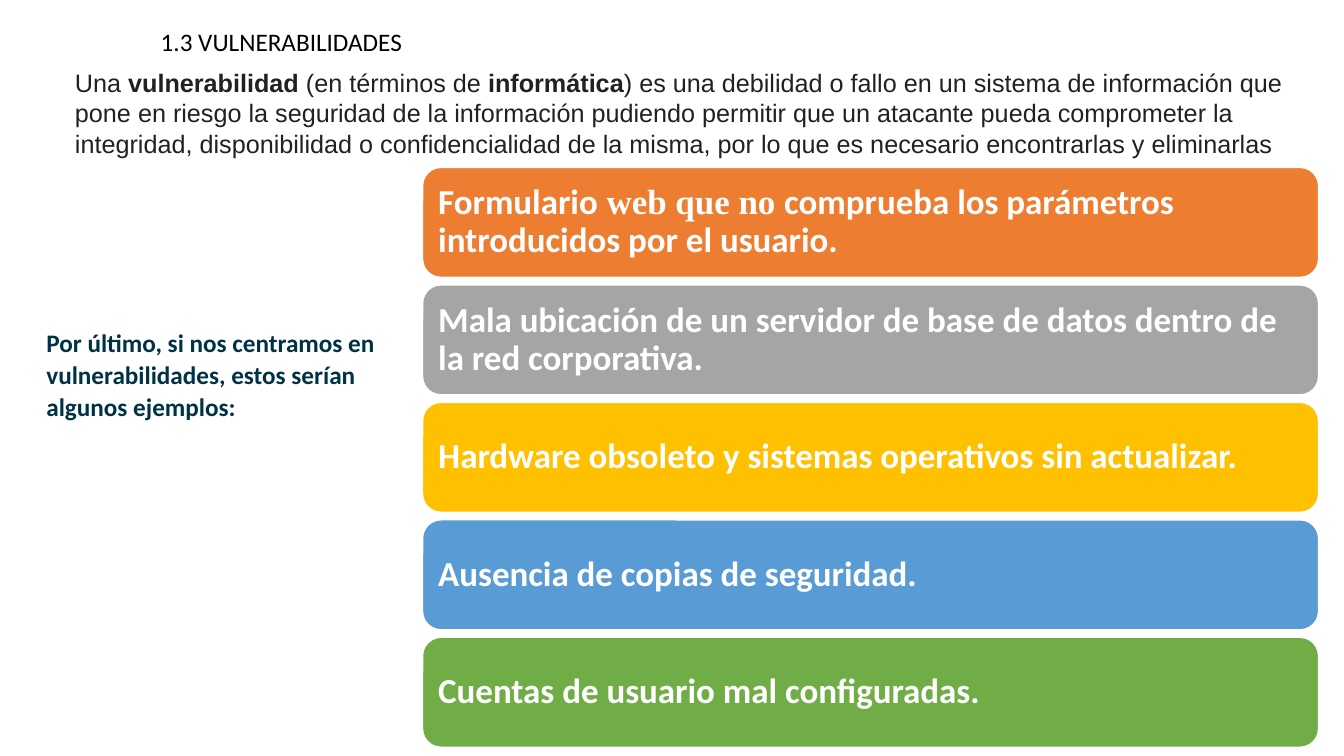
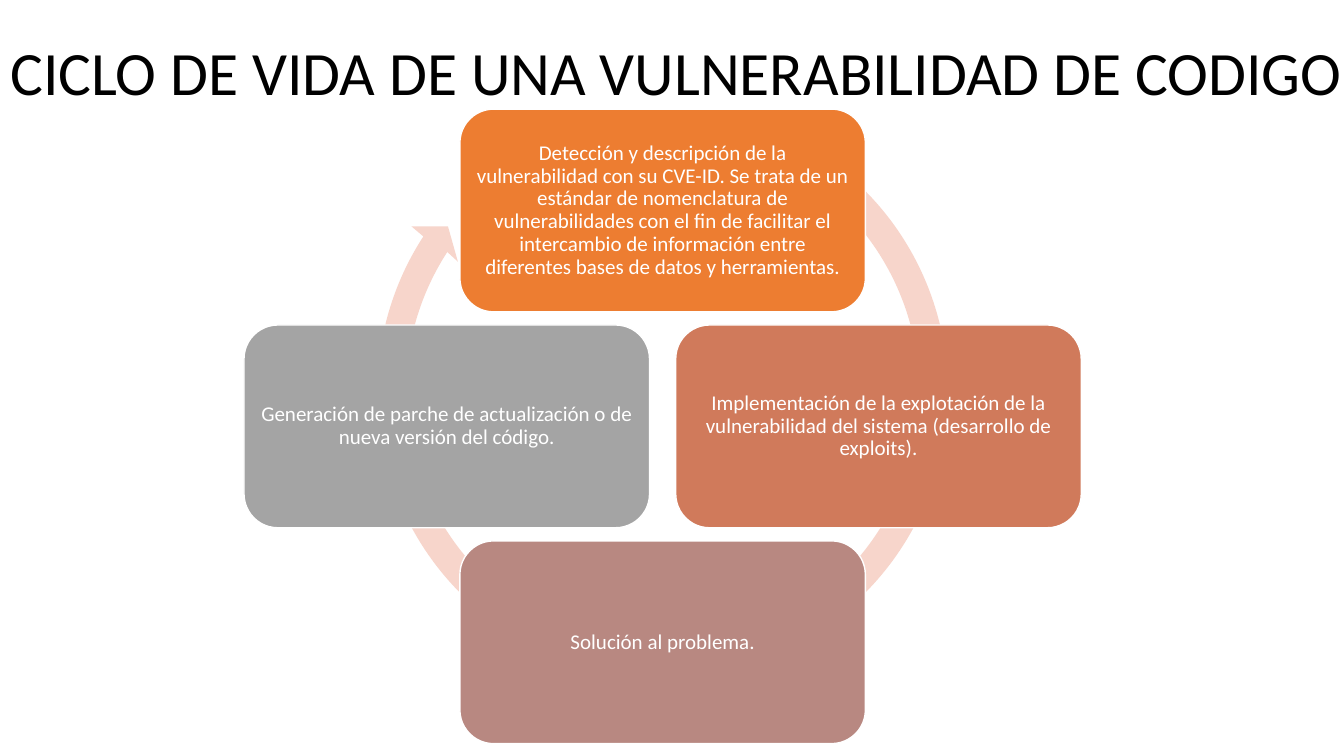
import math
from dataclasses import dataclass

import pptx
import pptx.dml.color
import pptx.enum.shapes
import pptx.enum.text
import pptx.oxml
import pptx.oxml.ns
import pptx.util

Cm = pptx.util.Cm
Pt = pptx.util.Pt
ALIGN = pptx.enum.text.PP_ALIGN
ANCHOR = pptx.enum.text.MSO_ANCHOR


@dataclass(frozen=True)
class Theme:
    """Colours, fonts, sizes and margins shared by the slides."""
    body_font: str = "Calibri"
    definition_font: str = "Arial"
    accent_font: str = "Times New Roman"
    black: str = "000000"
    white: str = "FFFFFF"
    navy: str = "003245"
    charcoal: str = "202124"
    ring: str = "F7D5CB"
    examples: tuple = ("ED7D31", "A5A5A5", "FFC000", "599BD5", "70AD47")
    stages: tuple = ("ED7D31", "D07A5B", "B88881", "A4A4A4")
    title_size: float = 44
    example_size: float = 25
    text_size: float = 18
    stage_size: float = 15
    tight: float = 0.9
    corner: float = 0.167
    text_margins: tuple = (0.25, 0.13)
    example_margins: tuple = (0.26, 0.25)
    stage_margins: tuple = (0.17, 0.16)


THEME = Theme()


@dataclass(frozen=True)
class Box:
    """A rectangle in centimetres."""
    left: float
    top: float
    width: float
    height: float

    def lengths(self):
        """Return the four lengths for python-pptx."""
        return Cm(self.left), Cm(self.top), Cm(self.width), Cm(self.height)


@dataclass(frozen=True)
class Style:
    """The look of one run of text."""
    size: float
    colour: str
    font: str = THEME.body_font
    bold: bool = False


HEADING = Style(THEME.text_size, THEME.black)
TITLE = Style(THEME.title_size, THEME.black)
LEAD = Style(THEME.text_size, THEME.navy, bold=True)
PLAIN = Style(THEME.text_size, THEME.charcoal, THEME.definition_font)
STRONG = Style(THEME.text_size, THEME.charcoal, THEME.definition_font, True)
EXAMPLE = Style(THEME.example_size, THEME.white, bold=True)
EXAMPLE_SERIF = Style(THEME.example_size, THEME.white, THEME.accent_font, True)
STAGE = Style(THEME.stage_size, THEME.white)

DEFINITION = [
    ("Una ", PLAIN),
    ("vulnerabilidad", STRONG),
    (" (en términos de ", PLAIN),
    ("informática", STRONG),
    (") es una debilidad o fallo en un sistema de información que pone en "
     "riesgo la seguridad de la información pudiendo permitir que un atacante "
     "pueda comprometer la integridad, disponibilidad o confidencialidad de la "
     "misma, por lo que es necesario encontrarlas y eliminarlas", PLAIN),
]
EXAMPLES = [
    [("Formulario", EXAMPLE), (" web que no ", EXAMPLE_SERIF),
     ("comprueba los parámetros introducidos por el usuario.", EXAMPLE)],
    [("Mala ubicación de un servidor de base de datos dentro de la red "
      "corporativa.", EXAMPLE)],
    [("Hardware obsoleto y sistemas operativos sin actualizar.", EXAMPLE)],
    [("Ausencia de copias de seguridad.", EXAMPLE)],
    [("Cuentas de usuario mal configuradas.", EXAMPLE)],
]
STAGES = [
    "Detección y descripción de la vulnerabilidad con su CVE-ID. Se trata de un "
    "estándar de nomenclatura de vulnerabilidades con el fin de facilitar el "
    "intercambio de información entre diferentes bases de datos y herramientas.",
    "Implementación de la explotación de la vulnerabilidad del sistema "
    "(desarrollo de exploits).",
    "Solución al problema.",
    "Generación de parche de actualización o de nueva versión del código.",
]


def rgb(colour):
    """Turn a hex string into a colour."""
    return pptx.dml.color.RGBColor.from_string(colour)


def write(frame, runs, margins, anchor=ANCHOR.TOP, align=ALIGN.LEFT, spacing=1.0):
    """Write one paragraph of styled runs in a text frame."""
    frame.word_wrap = True
    frame.vertical_anchor = anchor
    frame.margin_left = frame.margin_right = Cm(margins[0])
    frame.margin_top = frame.margin_bottom = Cm(margins[1])
    paragraph = frame.paragraphs[0]
    paragraph.alignment = align
    paragraph.line_spacing = spacing
    for words, style in runs:
        run = paragraph.add_run()
        run.text = words
        run.font.name = style.font
        run.font.size = Pt(style.size)
        run.font.bold = style.bold
        run.font.color.rgb = rgb(style.colour)


def add_text(slide, box, runs, **layout):
    """Add a text box with one paragraph."""
    frame = slide.shapes.add_textbox(*box.lengths()).text_frame
    write(frame, runs, THEME.text_margins, **layout)


def add_card(slide, box, colour, runs, margins, align):
    """Add a rounded card with a white outline and its text."""
    card = slide.shapes.add_shape(
        pptx.enum.shapes.MSO_SHAPE.ROUNDED_RECTANGLE, *box.lengths())
    card.adjustments[0] = THEME.corner
    card.shadow.inherit = False
    card.fill.solid()
    card.fill.fore_color.rgb = rgb(colour)
    card.line.color.rgb = rgb(THEME.white)
    card.line.width = Pt(1)
    write(card.text_frame, runs, margins, ANCHOR.MIDDLE, align, THEME.tight)


def add_examples(slide, box):
    """Stack the example cards evenly in the box."""
    gap = 0.19
    height = (box.height - gap * (len(EXAMPLES) - 1)) / len(EXAMPLES)
    for row, (runs, colour) in enumerate(zip(EXAMPLES, THEME.examples)):
        card_box = Box(box.left, box.top + row * (height + gap), box.width, height)
        add_card(slide, card_box, colour, runs, THEME.example_margins, ALIGN.LEFT)


def arc(centre, radius, start, end, curves):
    """Return the start, control and end points of an arc of Bézier curves."""
    step = math.radians(end - start) / curves
    pull = 4 / 3 * math.tan(step / 4)
    points = []
    for number in range(curves + 1):
        angle = math.radians(start) + number * step
        cos, sin = math.cos(angle), math.sin(angle)
        points += [(centre[0] + radius * (cos - side * pull * sin),
                    centre[1] + radius * (sin + side * pull * cos))
                   for side in (-1, 0, 1)]
    return points[1:-1]


def curve_segments(outline, first, count):
    """Join each three straight segments of an outline into a curve."""
    segments = outline.findall(pptx.oxml.ns.qn("a:lnTo"))[first:first + 3 * count]
    for index in range(0, len(segments), 3):
        curve = outline.makeelement(pptx.oxml.ns.qn("a:cubicBezTo"), {})
        segments[index].addprevious(curve)
        for segment in segments[index:index + 3]:
            curve.append(segment[0])
            outline.remove(segment)


def add_ring(slide, box):
    """Draw the circular arrow, clockwise from upper right, in the box."""
    centre = box.left + box.width / 2, box.top + box.height / 2
    start, end, curves = -58.8, 213, 5
    head = [(centre[0] + dx, centre[1] + dy)
            for dx, dy in ((-6.33, -4.17), (-5.41, -4.17), (-5.16, -3.28))]
    outer = arc(centre, box.width / 2, start, end, curves)
    inner = arc(centre, box.width * 0.45, end, start, curves)
    points = [(Cm(x), Cm(y)) for x, y in outer + head + inner]
    builder = slide.shapes.build_freeform(*points[0])
    builder.add_line_segments(points[1:], close=True)
    ring = builder.convert_to_shape()
    outline = next(ring.element.iter(pptx.oxml.ns.qn("a:path")))
    curve_segments(outline, len(outer) + len(head), curves)
    curve_segments(outline, 0, curves)
    ring.shadow.inherit = False
    ring.fill.solid()
    ring.fill.fore_color.rgb = rgb(THEME.ring)
    ring.line.fill.background()


def add_cycle(slide, box):
    """Place the ring and its four stages around the centre of the box."""
    width, height, reach, diameter = 10.22, 5.11, 5.44, 14.38
    centre_x, centre_y = box.left + box.width / 2, box.top + box.height / 2
    add_ring(slide, Box(centre_x - diameter / 2, centre_y - 0.87 - diameter / 2,
                        diameter, diameter))
    directions = ((0, -1), (1, 0), (0, 1), (-1, 0))
    for (dx, dy), words, colour in zip(directions, STAGES, THEME.stages):
        stage_box = Box(centre_x + dx * reach - width / 2,
                        centre_y + dy * reach - height / 2, width, height)
        add_card(slide, stage_box, colour, [(words, STAGE)],
                 THEME.stage_margins, ALIGN.CENTER)


def build_examples_slide(slide):
    """Build the slide that defines vulnerabilities and gives examples."""
    add_text(slide, Box(0.92, 8.06, 9.25, 2.69),
             [("Por último, si nos centramos en vulnerabilidades, estos serían "
               "algunos ejemplos:", LEAD)], spacing=1.07)
    add_text(slide, Box(3.8, 0.53, 6.8, 1.02), [("1.3 VULNERABILIDADES", HEADING)])
    add_text(slide, Box(1.64, 1.57, 31.6, 2.57), DEFINITION)
    add_examples(slide, Box(10.65, 4.22, 22.58, 14.61))


def build_cycle_slide(slide):
    """Build the slide with the life cycle of a vulnerability."""
    add_text(slide, Box(0.01, 0.06, 34.11, 3.68),
             [("CICLO DE VIDA DE UNA VULNERABILIDAD DE CODIGO", TITLE)],
             anchor=ANCHOR.MIDDLE, spacing=THEME.tight)
    add_cycle(slide, Box(6.15, 2.75, 21.1, 15.99))


def main():
    """Build and save the presentation."""
    deck = pptx.Presentation()
    deck.slide_width, deck.slide_height = Cm(33.87), Cm(19.05)
    for build in (build_examples_slide, build_cycle_slide):
        build(deck.slides.add_slide(deck.slide_layouts[6]))
    deck.save("out.pptx")


if __name__ == "__main__":
    main()
